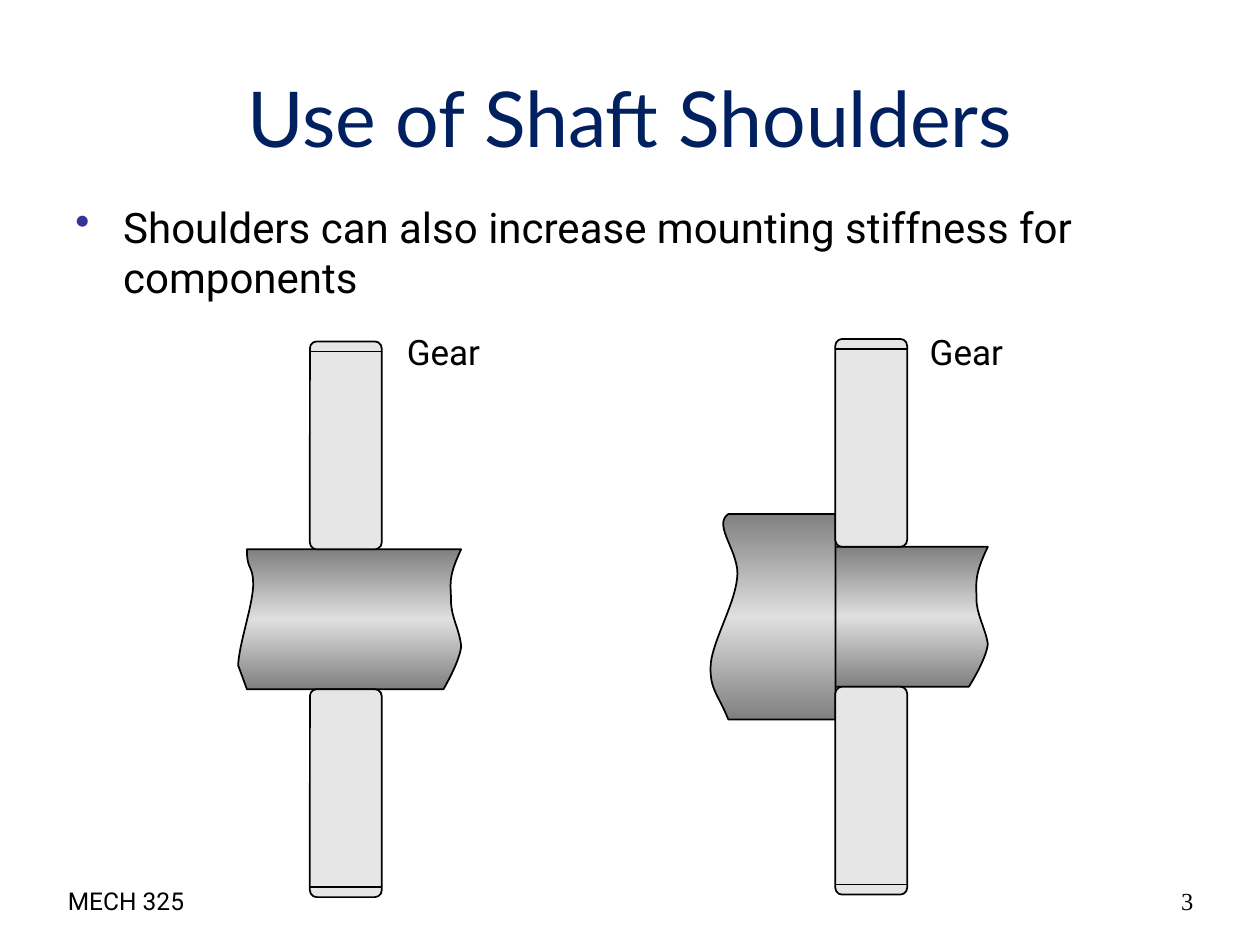
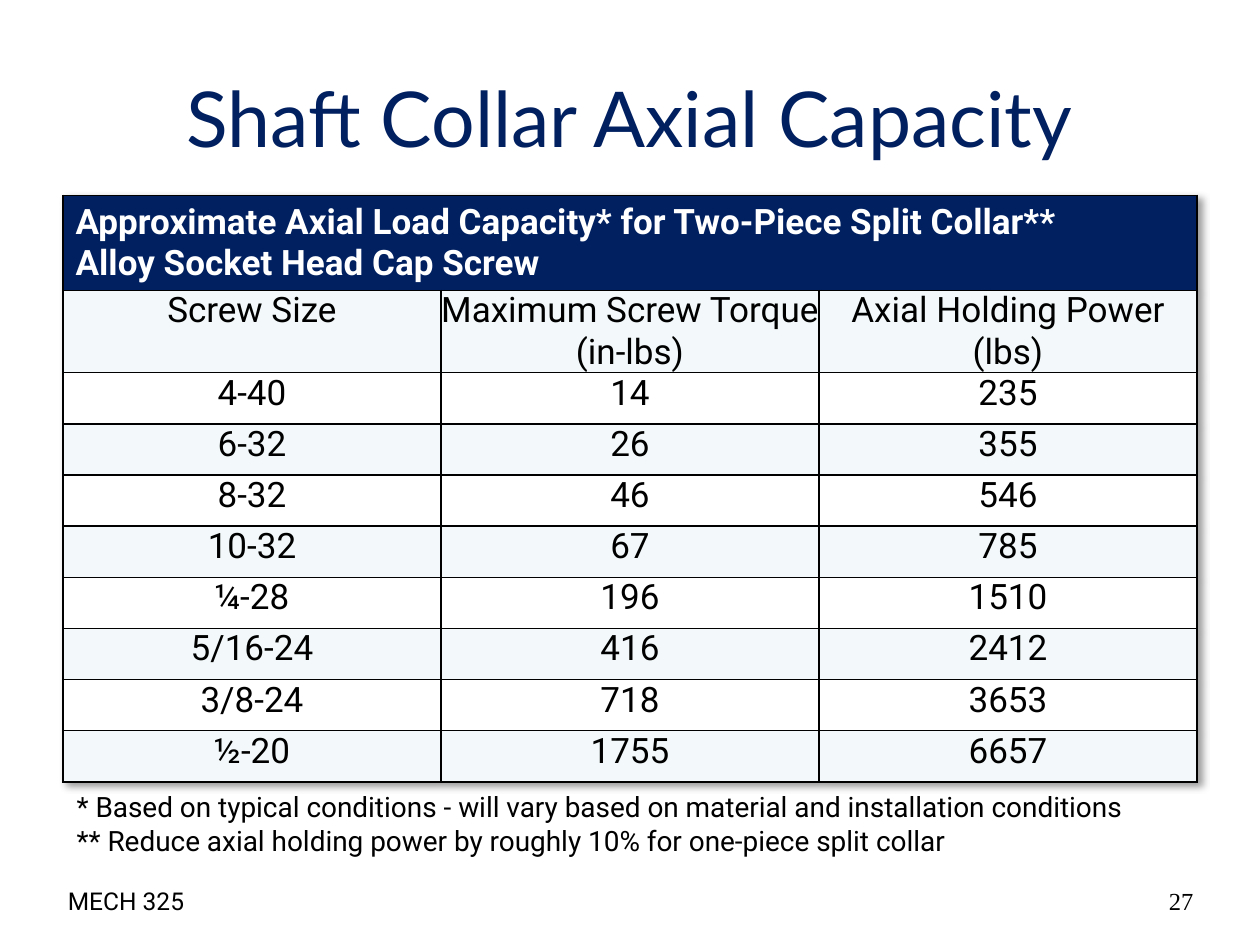
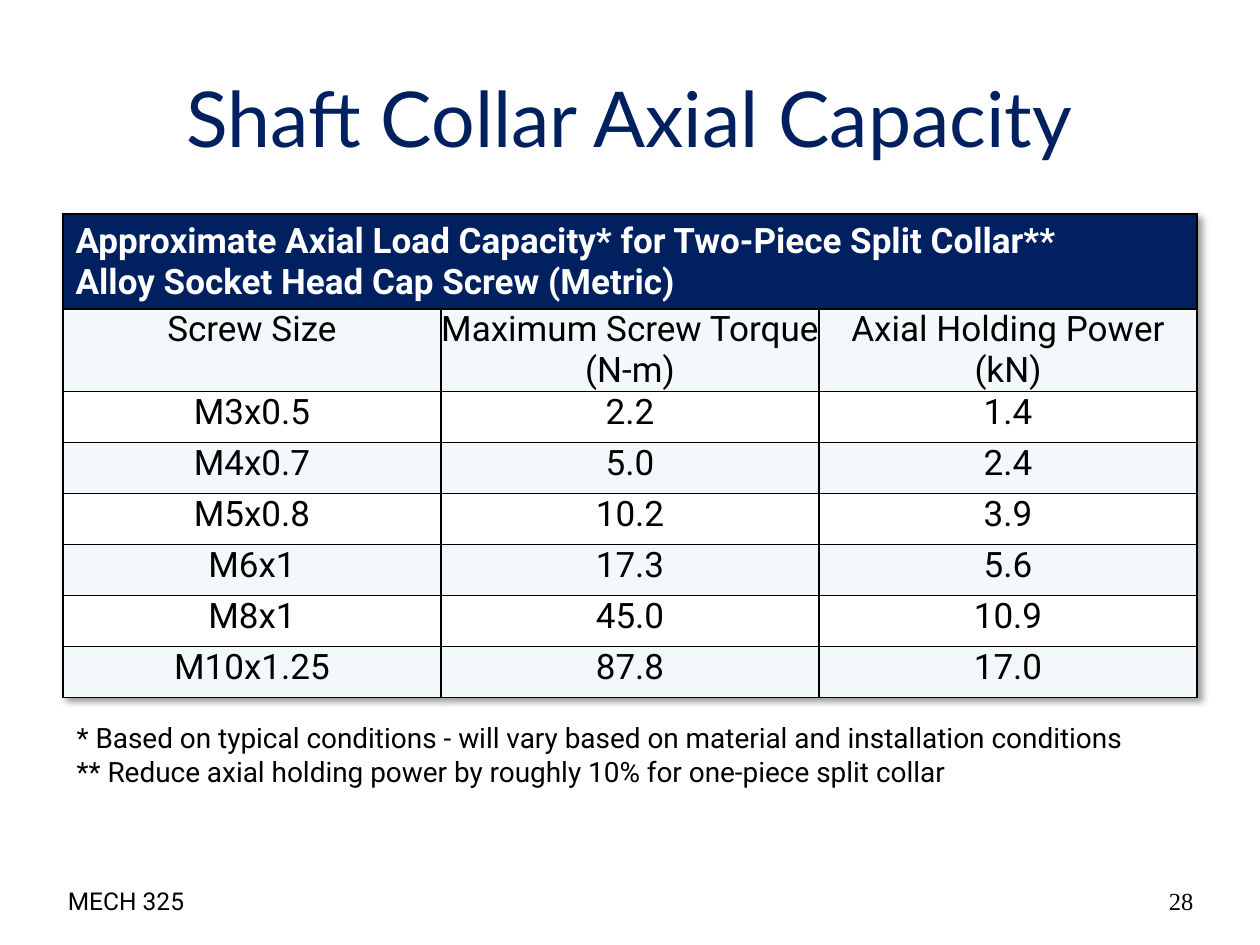
"""Build three slides on shaft shoulders and shaft collars."""
import copy
import dataclasses

import pptx
import pptx.dml.color
import pptx.enum.shapes
import pptx.enum.text
import pptx.oxml
import pptx.oxml.ns
import pptx.util

Inches = pptx.util.Inches
Pt = pptx.util.Pt
RGBColor = pptx.dml.color.RGBColor
Align = pptx.enum.text.PP_ALIGN
Anchor = pptx.enum.text.MSO_ANCHOR
Fit = pptx.enum.text.MSO_AUTO_SIZE
Shape = pptx.enum.shapes.MSO_SHAPE
qn = pptx.oxml.ns.qn

NAVY = RGBColor(0x00, 0x20, 0x60)
BLACK = RGBColor(0x00, 0x00, 0x00)
WHITE = RGBColor(0xFF, 0xFF, 0xFF)
MIST = RGBColor(0xF3, 0xF9, 0xFA)
STEEL = RGBColor(0x80, 0x80, 0x80)
SHINE = RGBColor(0xDF, 0xDF, 0xDF)
PALE = RGBColor(0xE6, 0xE6, 0xE6)
BULLET = RGBColor(0x33, 0x33, 0x99)

NS = 'xmlns:a="http://schemas.openxmlformats.org/drawingml/2006/main"'
SHADOW = (f'<a:effectLst {NS}><a:outerShdw blurRad="50800" dist="38100" dir="2700000" '
          'algn="tl" rotWithShape="0"><a:srgbClr val="000000"><a:alpha val="40000"/>'
          '</a:srgbClr></a:outerShdw></a:effectLst>')

Point = tuple[float, float]
Box = tuple[float, float, float, float]


@dataclasses.dataclass(frozen=True)
class Style:
    """Look of a run of text."""
    size: int
    font: str = "Roboto"
    color: RGBColor = BLACK
    bold: bool = False


@dataclasses.dataclass(frozen=True)
class Shaft:
    """Outline of a shaft piece: each step is a line end or a cubic curve."""
    start: Point
    steps: tuple[tuple[Point, ...], ...]


@dataclasses.dataclass(frozen=True)
class Gear:
    """Half of a gear with a rim line at its outer end."""
    left: float
    top: float
    upper: bool


@dataclasses.dataclass(frozen=True)
class Chart:
    """Collar table with its place, units and rows."""
    page: int
    top: float
    grid: float
    height: float
    note: float
    screw: str
    torque: str
    power: str
    rows: tuple[tuple[str, str, str], ...]


TITLE = Style(44, "Lato", NAVY)
BODY = Style(24)
LABEL = Style(20)
HEAD = Style(20, color=WHITE, bold=True)
NOTE = Style(16)
FOOT = Style(14)
PAGE = Style(14, "Times New Roman")

GEAR_W, GEAR_H, RIM = 0.57, 1.65, 0.08
COL_W = 3

SHAFTS = (
    Shaft((1.96, 5.47), (
        ((3.52, 5.47),),
        ((3.52, 5.47), (3.65, 5.25), (3.66, 5.13)),
        ((3.65, 5), (3.58, 4.9), (3.58, 4.77)),
        ((3.58, 4.64), (3.55, 4.59), (3.66, 4.36)),
        ((1.96, 4.36),),
        ((1.96, 4.54), (2.01, 4.47), (2.01, 4.65)),
        ((2, 4.83), (1.9, 5.1), (1.89, 5.28)))),
    Shaft((6.14, 5.45), (
        ((7.69, 5.45),),
        ((7.69, 5.45), (7.83, 5.23), (7.84, 5.11)),
        ((7.82, 4.98), (7.75, 4.88), (7.75, 4.75)),
        ((7.75, 4.62), (7.73, 4.57), (7.84, 4.34)),
        ((6.99, 4.34), (6.14, 4.34), (6.14, 4.34)))),
    Shaft((6.63, 5.71), (
        ((6.63, 4.08),),
        ((5.78, 4.08),),
        ((5.65, 4.17), (5.88, 4.39), (5.85, 4.59)),
        ((5.83, 4.8), (5.65, 5.1), (5.64, 5.28)),
        ((5.63, 5.47), (5.7, 5.51), (5.78, 5.71)),
        ((6.21, 5.71), (6.63, 5.71), (6.63, 5.71)))),
)

GEARS = (Gear(2.46, 5.47, False), Gear(6.63, 2.69, True),
         Gear(6.63, 5.45, False), Gear(2.46, 2.71, True))

CHARTS = (
    Chart(27, 1.55, 4.06, 4.54, 6.22, "Alloy Socket Head Cap Screw", "(in-lbs)", "(lbs)", (
        ("4-40", "14", "235"), ("6-32", "26", "355"),
        ("8-32", "46", "546"), ("10-32", "67", "785"),
        ("¼-28", "196", "1510"), ("5/16-24", "416", "2412"),
        ("3/8-24", "718", "3653"), ("½-20", "1755", "6657"))),
    Chart(28, 1.7, 3.24, 3.73, 5.67, "Alloy Socket Head Cap Screw (Metric)", "(N-m)", "(kN)", (
        ("M3x0.5", "2.2", "1.4"), ("M4x0.7", "5.0", "2.4"),
        ("M5x0.8", "10.2", "3.9"), ("M6x1", "17.3", "5.6"),
        ("M8x1", "45.0", "10.9"), ("M10x1.25", "87.8", "17.0"))),
)


def write(frame, lines: tuple[str, ...], style: Style, align=Align.LEFT) -> None:
    """Fill a text frame, one paragraph per line."""
    for i, line in enumerate(lines):
        para = frame.add_paragraph() if i else frame.paragraphs[0]
        para.alignment = align
        run = para.add_run()
        run.text = line
        font = run.font
        font.name, font.size, font.bold = style.font, Pt(style.size), style.bold
        font.color.rgb = style.color


def add_text(slide, box: Box, lines: tuple[str, ...], style: Style,
             align=Align.LEFT, anchor=Anchor.TOP, wrap: bool = True, fit=Fit.NONE):
    """Add a text box and return its frame."""
    frame = slide.shapes.add_textbox(*map(Inches, box)).text_frame
    frame.word_wrap = wrap
    frame.auto_size = fit
    frame.vertical_anchor = anchor
    write(frame, lines, style, align)
    return frame


def add_slide(deck, title: str, page: int):
    """Add a slide with its title and footer."""
    slide = deck.slides.add_slide(deck.slide_layouts[6])
    add_text(slide, (0.5, 0.3, 9, 1.25), (title,), TITLE, Align.CENTER, Anchor.MIDDLE)
    add_text(slide, (0.44, 6.98, 3.17, 0.52), ("MECH 325",), FOOT)
    add_text(slide, (7.24, 6.98, 2.33, 0.52), (str(page),), PAGE, Align.RIGHT)
    return slide


def add_bullet(para) -> None:
    """Give a paragraph a round bullet and a hanging indent."""
    props = para._p.get_or_add_pPr()
    props.set("marL", str(Inches(0.38)))
    props.set("indent", str(-Inches(0.38)))
    for item in (f'<a:buClr {NS}><a:srgbClr val="{BULLET}"/></a:buClr>',
                 f'<a:buChar {NS} char="•"/>'):
        props.append(pptx.oxml.parse_xml(item))


def set_line(shape) -> None:
    """Draw a thin black line."""
    shape.line.color.rgb = BLACK
    shape.line.width = Pt(1)


def bend(shape, shaft: Shaft) -> None:
    """Turn the straight steps of an outline into its curves."""
    lines = shape._element.spPr.findall(".//" + qn("a:lnTo"))
    for line, step in zip(lines, shaft.steps):
        if len(step) == 3:
            points = "".join(f'<a:pt x="{Inches(x) - shape.left}" y="{Inches(y) - shape.top}"/>'
                             for x, y in step)
            curve = pptx.oxml.parse_xml(f"<a:cubicBezTo {NS}>{points}</a:cubicBezTo>")
            line.getparent().replace(line, curve)


def draw_shaft(slide, shaft: Shaft) -> None:
    """Draw a shaft with a metal sheen."""
    maker = slide.shapes.build_freeform(*map(Inches, shaft.start))
    maker.add_line_segments([tuple(map(Inches, step[-1])) for step in shaft.steps], close=True)
    shape = maker.convert_to_shape()
    bend(shape, shaft)
    shape.shadow.inherit = False
    shape.fill.gradient()
    shape.fill.gradient_angle = 90
    stops = shape._element.spPr.find(".//" + qn("a:gsLst"))
    stops.append(copy.deepcopy(stops[0]))
    for stop, place, color in zip(shape.fill.gradient_stops, (0, 0.5, 1),
                                  (STEEL, SHINE, STEEL)):
        stop.position = place
        stop.color.rgb = color
    set_line(shape)


def draw_gear(slide, gear: Gear) -> None:
    """Draw a gear half and its rim as a group."""
    group = slide.shapes.add_group_shape().shapes
    body = group.add_shape(Shape.ROUNDED_RECTANGLE, Inches(gear.left), Inches(gear.top),
                           Inches(GEAR_W), Inches(GEAR_H))
    body.adjustments[0] = 0.095
    body.shadow.inherit = False
    body.fill.solid()
    body.fill.fore_color.rgb = PALE
    set_line(body)
    y = Inches(gear.top + (RIM if gear.upper else GEAR_H - RIM))
    rim = group.add_connector(pptx.enum.shapes.MSO_CONNECTOR.STRAIGHT,
                              Inches(gear.left), y, Inches(gear.left + GEAR_W), y)
    set_line(rim)
    rim._element.spPr.append(pptx.oxml.parse_xml(f"<a:effectLst {NS}/>"))


def fill_cell(cell, lines: tuple[str, ...], style: Style, color: RGBColor,
              align=Align.CENTER) -> None:
    """Write a cell and set its fill and borders."""
    props = cell._tc.get_or_add_tcPr()
    for side in ("lnL", "lnR", "lnT", "lnB"):
        props.append(pptx.oxml.parse_xml(
            f'<a:{side} {NS} w="{Pt(1)}"><a:solidFill><a:srgbClr val="{BLACK}"/>'
            f'</a:solidFill></a:{side}>'))
    cell.fill.solid()
    cell.fill.fore_color.rgb = color
    if align == Align.CENTER:
        cell.margin_left = cell.margin_right = cell.margin_top = cell.margin_bottom = 0
    write(cell.text_frame, lines, style, align)


def draw_chart(slide, chart: Chart) -> None:
    """Draw a collar table and its notes."""
    frame = slide.shapes.add_table(len(chart.rows) + 2, 3, Inches(0.5), Inches(chart.top),
                                   Inches(3 * COL_W), Inches(chart.grid))
    frame.height = Inches(chart.height)
    table = frame.table
    table._tbl.tblPr.insert(0, pptx.oxml.parse_xml(SHADOW))
    table.cell(0, 0).merge(table.cell(0, 2))
    head = ("Approximate Axial Load Capacity* for Two-Piece Split Collar**", chart.screw)
    for c, lines in enumerate((head, (), ())):
        fill_cell(table.cell(0, c), lines, HEAD, NAVY, Align.LEFT)
    names = (("Screw Size",), ("Maximum Screw Torque", chart.torque),
             ("Axial Holding Power", chart.power))
    rows = (names, *(tuple((text,) for text in row) for row in chart.rows))
    for r, row in enumerate(rows, 1):
        for c, lines in enumerate(row):
            fill_cell(table.cell(r, c), lines, LABEL, MIST if r % 2 else WHITE)
    add_text(slide, (0.51, chart.note, 9.06, 0.64), (
        "* Based on typical conditions - will vary based on material and installation conditions",
        "** Reduce axial holding power by roughly 10% for one-piece split collar"),
        NOTE, fit=Fit.SHAPE_TO_FIT_TEXT)


def main() -> None:
    """Build and save the deck."""
    deck = pptx.Presentation()
    deck.slide_width, deck.slide_height = Inches(10), Inches(7.5)
    slide = add_slide(deck, "Use of Shaft Shoulders", 3)
    frame = add_text(slide, (0.5, 1.55, 9, 4.95), (
        "Shoulders can also increase mounting stiffness for components",), BODY)
    add_bullet(frame.paragraphs[0])
    for shaft in SHAFTS:
        draw_shaft(slide, shaft)
    for gear in GEARS:
        draw_gear(slide, gear)
    for left in (3.13, 7.28):
        add_text(slide, (left, 2.57, 0.78, 0.44), ("Gear",), LABEL, Align.CENTER,
                 wrap=False, fit=Fit.SHAPE_TO_FIT_TEXT)
    for chart in CHARTS:
        draw_chart(add_slide(deck, "Shaft Collar Axial Capacity", chart.page), chart)
    deck.save("out.pptx")


if __name__ == "__main__":
    main()
